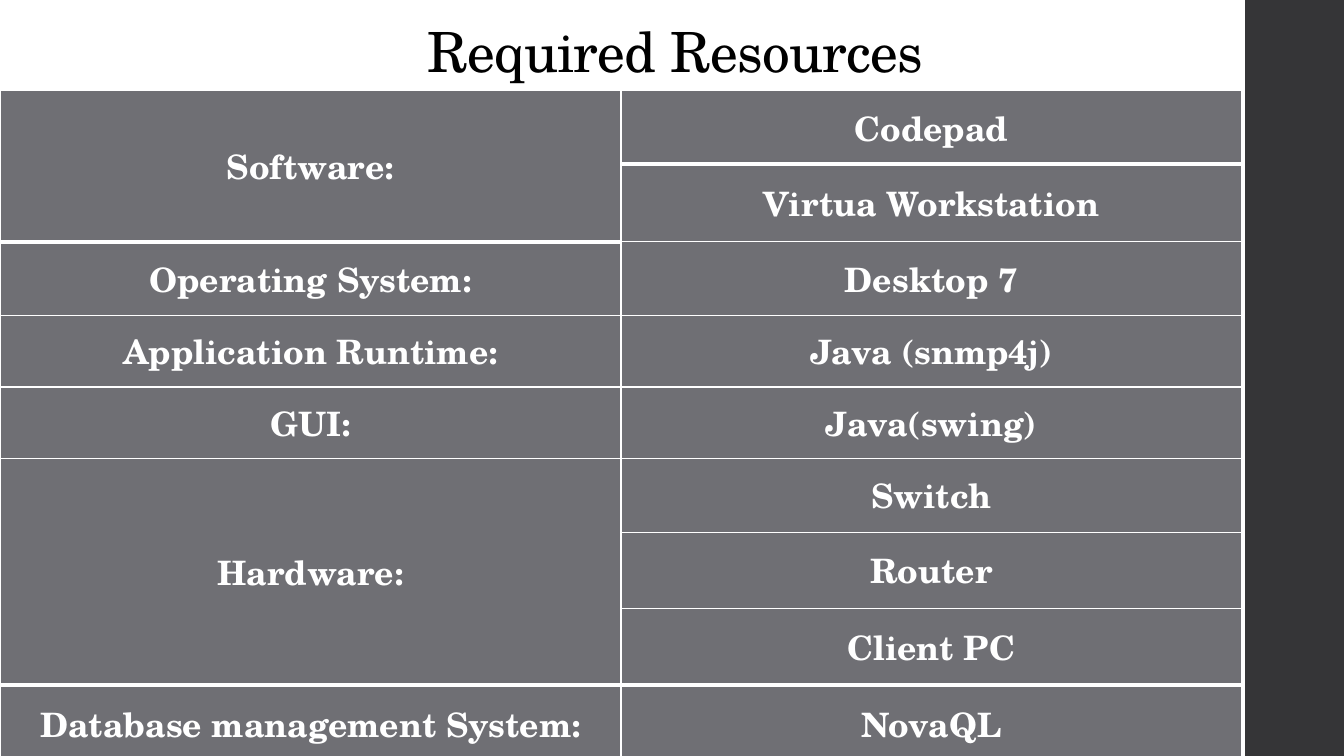
from dataclasses import dataclass

from lxml.etree import SubElement
from pptx import Presentation
from pptx.dml.color import RGBColor
from pptx.enum.shapes import MSO_SHAPE
from pptx.enum.text import MSO_ANCHOR, PP_ALIGN
from pptx.oxml.ns import qn
from pptx.util import Inches, Pt


@dataclass(frozen=True)
class Theme:
    font: str = "TeX Gyre Schola"
    ink: str = "000000"
    paper: str = "FFFFFF"
    band: str = "353537"
    cell: str = "6F6F74"
    title: float = 39.6
    body: float = 24
    thin: float = 1
    thick: float = 3


THEME = Theme()
WIDTH, HEIGHT = Inches(13.33), Inches(7.5)
GROUPS = [
    ("Software:", ["Codepad", "Virtua Workstation"]),
    ("Operating System:", ["Desktop 7"]),
    ("Application Runtime:", ["Java (snmp4j)"]),
    ("GUI:", ["Java(swing)"]),
    ("Hardware:", ["Switch", "Router", "Client PC"]),
    ("Database management System:", ["NovaQL"]),
]
ROWS = [9.73, 10.27, 9.73, 9.47, 9.47, 9.73, 10.13, 10.13, 10.13]
COLUMN = 46.2


def across(share):
    return round(WIDTH * share / 100)


def down(share):
    return round(HEIGHT * share / 100)


def area(left, top, width, height):
    return across(left), down(top), across(width), down(height)


def paint(fill, color):
    fill.solid()
    fill.fore_color.rgb = RGBColor.from_string(color)


def write(frame, text, size, color, bold=False):
    line = frame.paragraphs[0]
    line.text = text
    line.alignment = PP_ALIGN.CENTER
    font = line.font
    font.name, font.size, font.bold = THEME.font, Pt(size), bold
    font.color.rgb = RGBColor.from_string(color)
    return line


def add_band(slide, *box):
    band = slide.shapes.add_shape(MSO_SHAPE.RECTANGLE, *area(*box))
    band.shadow.inherit = False
    paint(band.fill, THEME.band)
    band.line.fill.background()


def add_title(slide, text, *box):
    frame = slide.shapes.add_textbox(*area(*box)).text_frame
    frame.word_wrap = True
    frame.vertical_anchor = MSO_ANCHOR.BOTTOM
    line = write(frame, text, THEME.title, THEME.ink)
    line.line_spacing = 0.9
    line.runs[0]._r.get_or_add_rPr().set("spc", "-50")


def add_edge(cell, side, points):
    edge = SubElement(cell._tc.get_or_add_tcPr(), qn(f"a:ln{side}"), w=str(Pt(points)))
    fill = SubElement(edge, qn("a:solidFill"))
    SubElement(fill, qn("a:srgbClr"), val=THEME.paper)


def style_cell(cell, heavy):
    cell.margin_left = cell.margin_right = Inches(0.07)
    cell.margin_top = cell.margin_bottom = 0
    cell.vertical_anchor = MSO_ANCHOR.MIDDLE
    for side in "LRTB":
        add_edge(cell, side, THEME.thick if side == heavy else THEME.thin)
    paint(cell.fill, THEME.cell)


def add_grid(slide, groups, left, top):
    box = area(left, top, 2 * COLUMN, sum(ROWS))
    table = slide.shapes.add_table(len(ROWS), 2, *box).table
    for column in table.columns:
        column.width = across(COLUMN)
    heavy = {0: "B", len(ROWS) - 1: "T"}
    for index, share in enumerate(ROWS):
        table.rows[index].height = down(share)
        for cell in table.rows[index].cells:
            style_cell(cell, heavy.get(index))
    start = 0
    for label, items in groups:
        head = table.cell(start, 0)
        if len(items) > 1:
            head.merge(table.cell(start + len(items) - 1, 0))
        write(head.text_frame, label, THEME.body, THEME.paper, True)
        for index, item in enumerate(items, start):
            frame = table.cell(index, 1).text_frame
            write(frame, item, THEME.body, THEME.paper, True)
        start += len(items)


def main():
    deck = Presentation()
    deck.slide_width, deck.slide_height = WIDTH, HEIGHT
    slide = deck.slides.add_slide(deck.slide_layouts[6])
    paint(slide.background.fill, THEME.paper)
    add_band(slide, 92.65, 0, 7.35, 100)
    add_title(slide, "Required Resources", 10.5, 2.27, 79.52, 9.6)
    add_grid(slide, GROUPS, 0, 12)
    deck.save("out.pptx")


main()
